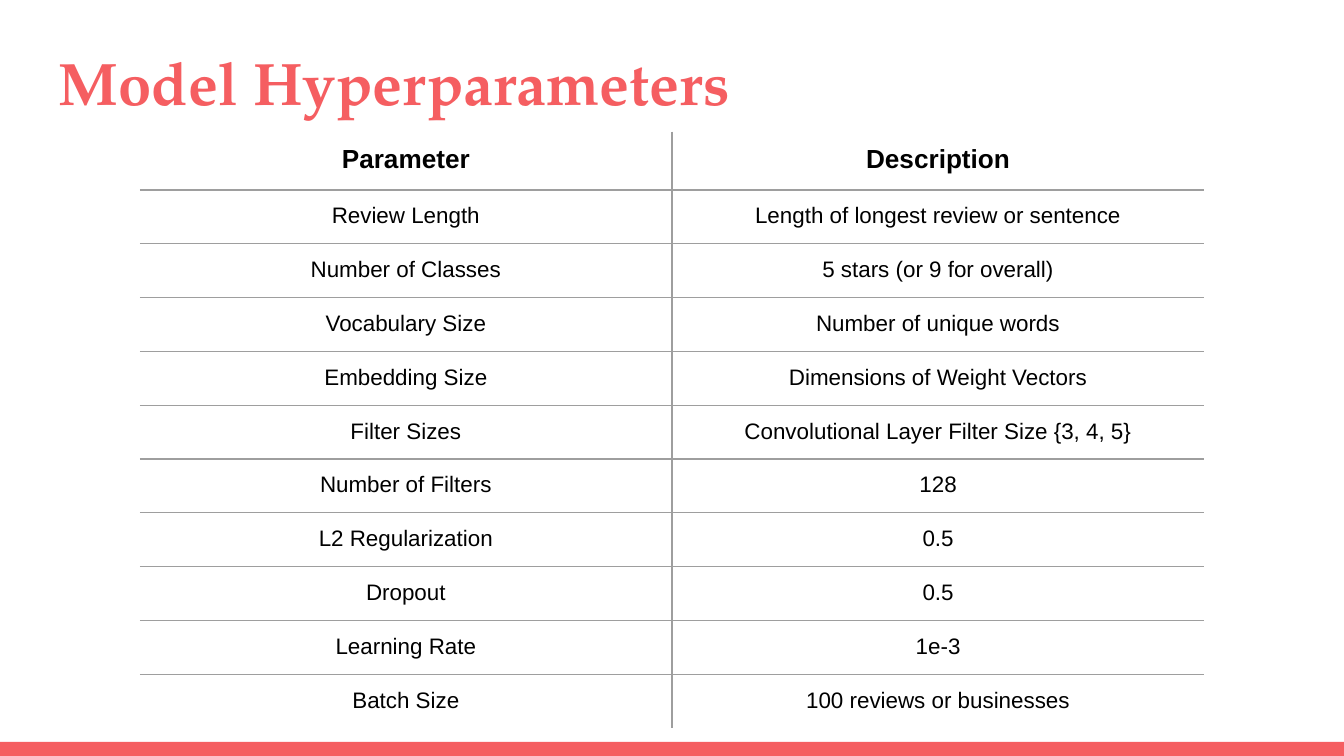
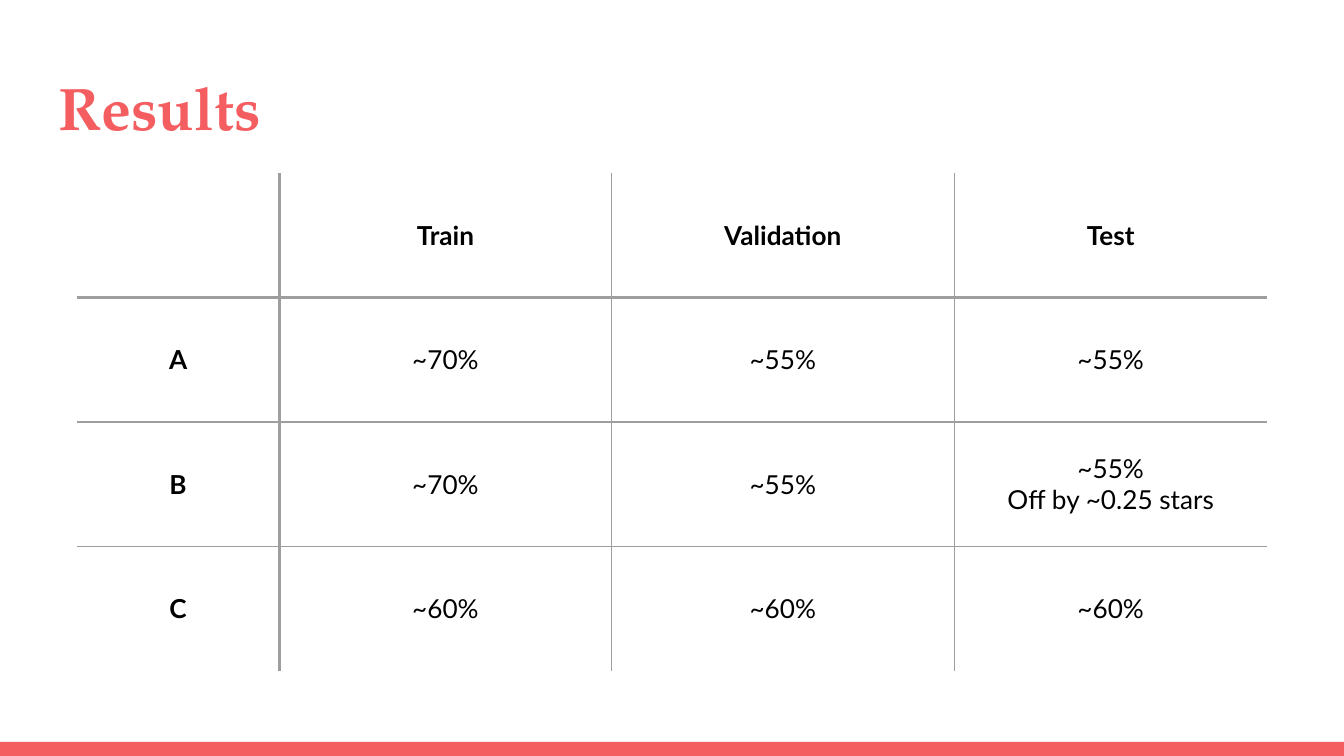
import pptx
import pptx.dml.color
import pptx.enum.shapes
import pptx.enum.text
import pptx.oxml
import pptx.oxml.ns
import pptx.util
from dataclasses import dataclass

Inches = pptx.util.Inches
Pt = pptx.util.Pt
RGB = pptx.dml.color.RGBColor.from_string
ANCHOR = pptx.enum.text.MSO_ANCHOR


@dataclass
class Theme:
    coral: str = "F55E61"
    rule: str = "9E9E9E"
    ink: str = "000000"
    title_font: str = "TeX Gyre Pagella"
    title_size: int = 32
    head_size: int = 14
    small_size: int = 12
    inset: float = 0.1
    heavy: float = 1.5
    light: float = 0.75


theme = Theme()


def style_text(p, font, size, color, bold):
    for r in p.runs:
        r.font.name = font
        r.font.size = Pt(size)
        r.font.bold = bold
        r.font.color.rgb = RGB(color)


def add_border(cell, side, width):
    """Draw one side of a cell, or clear it when width is 0."""
    if width:
        fill = f'<a:solidFill><a:srgbClr val="{theme.rule}"/></a:solidFill>'
    else:
        fill = "<a:noFill/>"
    ns = pptx.oxml.ns.nsdecls("a")
    ln = pptx.oxml.parse_xml(f'<a:ln{side} {ns} w="{Pt(width)}">{fill}</a:ln{side}>')
    cell._tc.get_or_add_tcPr().append(ln)


# Content of the two slides
pages = [
    dict(
        title="Model Hyperparameters", title_top=0.24,
        left=1.04, top=0.98, cols=[3.96, 3.96], row_height=0.37,
        font="Arial", body_size=theme.small_size, anchor=ANCHOR.TOP, bold_first_col=False,
        rows=[
            ["Parameter", "Description"],
            ["Review Length", "Length of longest review or sentence"],
            ["Number of Classes", "5 stars (or 9 for overall)"],
            ["Vocabulary Size", "Number of unique words"],
            ["Embedding Size", "Dimensions of Weight Vectors"],
            ["Filter Sizes", "Convolutional Layer Filter Size {3, 4, 5}"],
            ["Number of Filters", "128"],
            ["L2 Regularization", "0.5"],
            ["Dropout", "0.5"],
            ["Learning Rate", "1e-3"],
            ["Batch Size", "100 reviews or businesses"],
        ],
    ),
    dict(
        title="Results", title_top=0.43,
        left=0.57, top=1.29, cols=[1.51, 2.47, 2.55, 2.33], row_height=3.7 / 4,
        font="Lato", body_size=theme.head_size, anchor=ANCHOR.MIDDLE, bold_first_col=True,
        rows=[
            ["", "Train", "Validation", "Test"],
            ["A", "~70%", "~55%", "~55%"],
            ["B", "~70%", "~55%", "~55%\nOff by ~0.25 stars"],
            ["C", "~60%", "~60%", "~60%"],
        ],
    ),
]

prs = pptx.Presentation()
prs.slide_width = Inches(10)
prs.slide_height = Inches(10 * 9 / 16)

for page in pages:
    s = prs.slides.add_slide(prs.slide_layouts[6])

    # Bottom band
    sp = s.shapes.add_shape(pptx.enum.shapes.MSO_SHAPE.RECTANGLE,
                            0, Inches(5.52), prs.slide_width, Inches(0.11))
    sp.shadow.inherit = False
    sp.fill.solid()
    sp.fill.fore_color.rgb = RGB(theme.coral)
    sp.line.fill.background()

    # Title
    sp = s.shapes.add_textbox(Inches(0.34), Inches(page["title_top"]), Inches(9.32), Inches(0.68))
    tf = sp.text_frame
    tf.word_wrap = True
    tf.margin_left = tf.margin_right = tf.margin_top = tf.margin_bottom = Inches(theme.inset)
    tf.text = page["title"]
    style_text(tf.paragraphs[0], theme.title_font, theme.title_size, theme.coral, True)

    # Table; the frame is smaller than its rows and columns
    rows, cols = page["rows"], page["cols"]
    last_row, last_col = len(rows) - 1, len(cols) - 1
    frame = s.shapes.add_table(len(rows), len(cols), Inches(page["left"]), Inches(page["top"]),
                               Inches(sum(cols)), Inches(page["row_height"] * len(rows)))
    table = frame.table
    table.first_row = table.horz_banding = False
    for column, width in zip(table.columns, cols):
        column.width = Inches(width)
    frame.width = frame.height = Inches(3.28)

    # Rule widths by grid line: none outside, heavy after the headers, light elsewhere
    h_rules = [0, theme.heavy] + [theme.light] * (last_row - 1) + [0]
    v_rules = [0, theme.heavy] + [theme.light] * (last_col - 1) + [0]

    for i, row in enumerate(rows):
        for j, text in enumerate(row):
            cell = table.cell(i, j)
            cell.margin_left = cell.margin_right = Inches(theme.inset)
            cell.margin_top = cell.margin_bottom = Inches(theme.inset)
            cell.vertical_anchor = page["anchor"]
            cell.text_frame.text = text
            size = theme.head_size if i == 0 else page["body_size"]
            bold = i == 0 or (j == 0 and page["bold_first_col"])
            for p in cell.text_frame.paragraphs:
                p.alignment = pptx.enum.text.PP_ALIGN.CENTER
                style_text(p, page["font"], size, theme.ink, bold)
            add_border(cell, "L", v_rules[j])
            add_border(cell, "R", v_rules[j + 1])
            add_border(cell, "T", h_rules[i])
            add_border(cell, "B", h_rules[i + 1])
            cell.fill.background()

prs.save("out.pptx")
